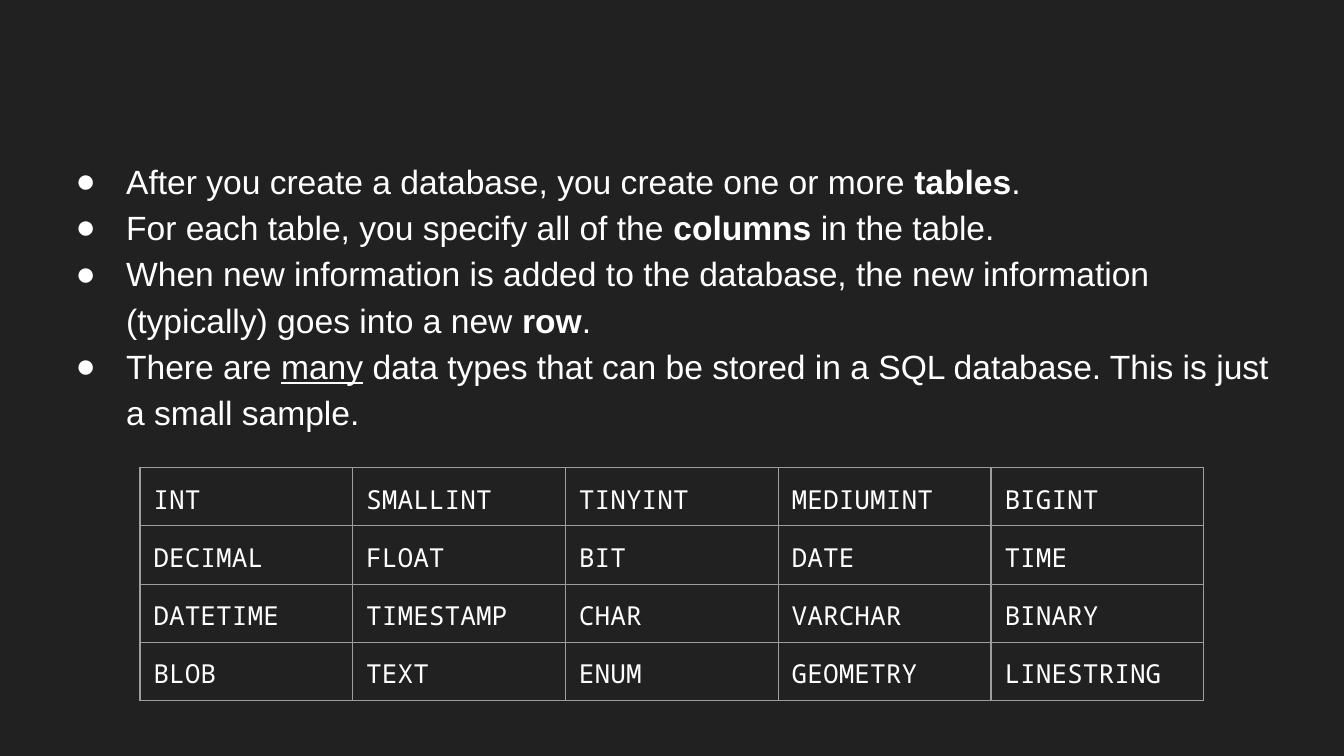
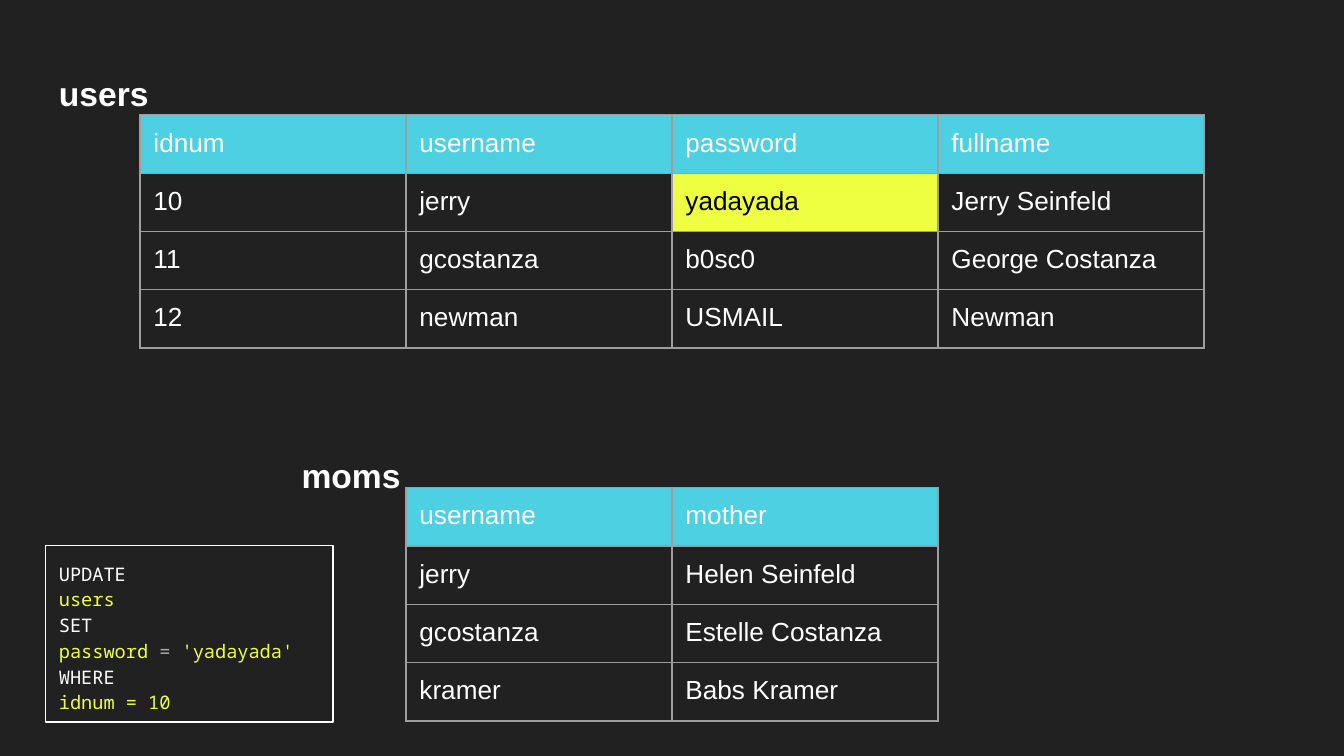
from lxml.etree import SubElement
from pptx import Presentation
from pptx.dml.color import RGBColor
from pptx.enum.shapes import MSO_SHAPE
from pptx.enum.text import MSO_ANCHOR, PP_ALIGN
from pptx.oxml.ns import qn
from pptx.util import Pt

DARK = RGBColor(0x21, 0x21, 0x21)
WHITE = RGBColor(0xFF, 0xFF, 0xFF)
BLACK = RGBColor(0x00, 0x00, 0x00)
GRID = RGBColor(0x9E, 0x9E, 0x9E)
GREY = RGBColor(0xAD, 0xAD, 0xAD)
CYAN = RGBColor(0x4D, 0xD0, 0xE1)
YELLOW = RGBColor(0xEE, 0xFF, 0x41)

SANS, MONO = "Arial", "Noto Sans Mono"
INSET = 7.2
ROW_HEIGHT = 30.2
BODY_LEFT, BODY_WIDTH = 24.5, 671
TABLE_LEFT, TABLE_WIDTH = 75, 570

BOLD = {"bold": True}
UNDERLINE = {"underline": True}
KEYWORD = {"color": WHITE}
VALUE = {"color": YELLOW}

# A paragraph is a list of runs: (text, format overrides).
TABLE_FACTS = [
    [("After you create a database, you create one or more ", {}), ("tables", BOLD), (".", {})],
    [("For each table, you specify all of the ", {}), ("columns", BOLD), (" in the table.", {})],
    [("When new information is added to the database, the new information "
      "(typically) goes into a new ", {}), ("row", BOLD), (".", {})],
    [("There are ", {}), ("many", UNDERLINE),
     (" data types that can be stored in a SQL database. This is just a small sample.", {})],
]
DATA_TYPES = [
    ["INT", "SMALLINT", "TINYINT", "MEDIUMINT", "BIGINT"],
    ["DECIMAL", "FLOAT", "BIT", "DATE", "TIME"],
    ["DATETIME", "TIMESTAMP", "CHAR", "VARCHAR", "BINARY"],
    ["BLOB", "TEXT", "ENUM", "GEOMETRY", "LINESTRING"],
]
USERS = [
    ["idnum", "username", "password", "fullname"],
    ["10", "jerry", "yadayada", "Jerry Seinfeld"],
    ["11", "gcostanza", "b0sc0", "George Costanza"],
    ["12", "newman", "USMAIL", "Newman"],
]
MOMS = [
    ["username", "mother"],
    ["jerry", "Helen Seinfeld"],
    ["gcostanza", "Estelle Costanza"],
    ["kramer", "Babs Kramer"],
]
UPDATED_VALUE = "yadayada"
UPDATE_QUERY = [
    [("UPDATE", KEYWORD)],
    [("users", VALUE)],
    [("SET", KEYWORD)],
    [("password", VALUE), (" = ", {"color": GREY}), ("'yadayada'", VALUE)],
    [("WHERE", KEYWORD)],
    [("idnum = 10", VALUE)],
]


def add_bullet(paragraph):
    properties = paragraph._p.get_or_add_pPr()
    properties.set("marL", str(Pt(36)))
    properties.set("indent", str(Pt(-27)))
    color = SubElement(properties, qn("a:buClr"))
    SubElement(color, qn("a:srgbClr"), val=str(WHITE))
    SubElement(properties, qn("a:buFont"), typeface=SANS)
    SubElement(properties, qn("a:buChar"), char="●")


def write(frame, paragraphs, size=18, font=SANS, color=WHITE, bold=False,
          spacing=1.15, bulleted=False):
    for index, runs in enumerate(paragraphs):
        paragraph = frame.add_paragraph() if index else frame.paragraphs[0]
        if bulleted:
            add_bullet(paragraph)
        paragraph.alignment = PP_ALIGN.LEFT
        paragraph.line_spacing = spacing
        for text, changes in runs:
            run = paragraph.add_run()
            run.text = text
            run.font.size = Pt(size)
            run.font.name = font
            run.font.bold = changes.get("bold", bold)
            run.font.underline = changes.get("underline", False)
            run.font.color.rgb = changes.get("color", color)


def set_up_frame(frame):
    frame.word_wrap = True
    frame.vertical_anchor = MSO_ANCHOR.TOP
    frame.margin_left = frame.margin_right = Pt(INSET)
    frame.margin_top = frame.margin_bottom = Pt(INSET)


def add_text_box(slide, left, top, width, height, paragraphs, **text_format):
    frame = slide.shapes.add_textbox(Pt(left), Pt(top), Pt(width), Pt(height)).text_frame
    set_up_frame(frame)
    write(frame, paragraphs, **text_format)


def add_borders(cell):
    properties = cell._tc.get_or_add_tcPr()
    for side in ("lnL", "lnR", "lnT", "lnB"):
        line = SubElement(properties, qn(f"a:{side}"), w=str(Pt(0.75)))
        fill = SubElement(line, qn("a:solidFill"))
        SubElement(fill, qn("a:srgbClr"), val=str(GRID))


def add_grid(slide, left, top, column_width, rows, header=False, highlight=None, font=SANS):
    columns = len(rows[0])
    table = slide.shapes.add_table(
        len(rows), columns, Pt(left), Pt(top),
        Pt(column_width * columns), Pt(ROW_HEIGHT * len(rows))).table
    table.first_row = table.horz_banding = False
    for column in table.columns:
        column.width = Pt(column_width)
    for r, values in enumerate(rows):
        table.rows[r].height = Pt(ROW_HEIGHT)
        for c, value in enumerate(values):
            cell = table.cell(r, c)
            cell.margin_left = cell.margin_right = Pt(INSET)
            cell.margin_top = cell.margin_bottom = Pt(INSET)
            add_borders(cell)
            fill, color = None, WHITE
            if header and r == 0:
                fill = CYAN
            elif value == highlight:
                fill, color = YELLOW, BLACK
            if fill is None:
                cell.fill.background()
            else:
                cell.fill.solid()
                cell.fill.fore_color.rgb = fill
            write(cell.text_frame, [[(value, {})]], size=14, font=font, color=color, spacing=1.0)


def add_query_box(slide, left, top, width, height, query):
    box = slide.shapes.add_shape(MSO_SHAPE.RECTANGLE, Pt(left), Pt(top), Pt(width), Pt(height))
    box.shadow.inherit = False
    box.fill.background()
    box.line.color.rgb = WHITE
    box.line.width = Pt(0.75)
    set_up_frame(box.text_frame)
    write(box.text_frame, query, size=10, font=MONO)


def add_types_slide(slide):
    add_text_box(slide, BODY_LEFT, 75.6, BODY_WIDTH, 254, TABLE_FACTS, bulleted=True)
    add_grid(slide, TABLE_LEFT, 250.5, TABLE_WIDTH / len(DATA_TYPES[0]), DATA_TYPES, font=MONO)


def add_update_slide(slide):
    column_width = TABLE_WIDTH / len(USERS[0])
    add_text_box(slide, BODY_LEFT, 28.8, 120, 38, [[("users", {})]], bold=True)
    add_text_box(slide, 154.5, 233, 80, 38, [[("moms", {})]], bold=True)
    add_grid(slide, TABLE_LEFT, 61.5, column_width, USERS, header=True, highlight=UPDATED_VALUE)
    add_grid(slide, TABLE_LEFT + column_width, 261.3, column_width, MOMS, header=True)
    add_query_box(slide, BODY_LEFT, 292.3, 154, 94.5, UPDATE_QUERY)


def main():
    deck = Presentation()
    deck.slide_width, deck.slide_height = Pt(720), Pt(405)
    background = deck.slide_master.background.fill
    background.solid()
    background.fore_color.rgb = DARK
    blank = deck.slide_layouts[6]
    for build in (add_types_slide, add_update_slide):
        build(deck.slides.add_slide(blank))
    deck.save("out.pptx")


if __name__ == "__main__":
    main()
